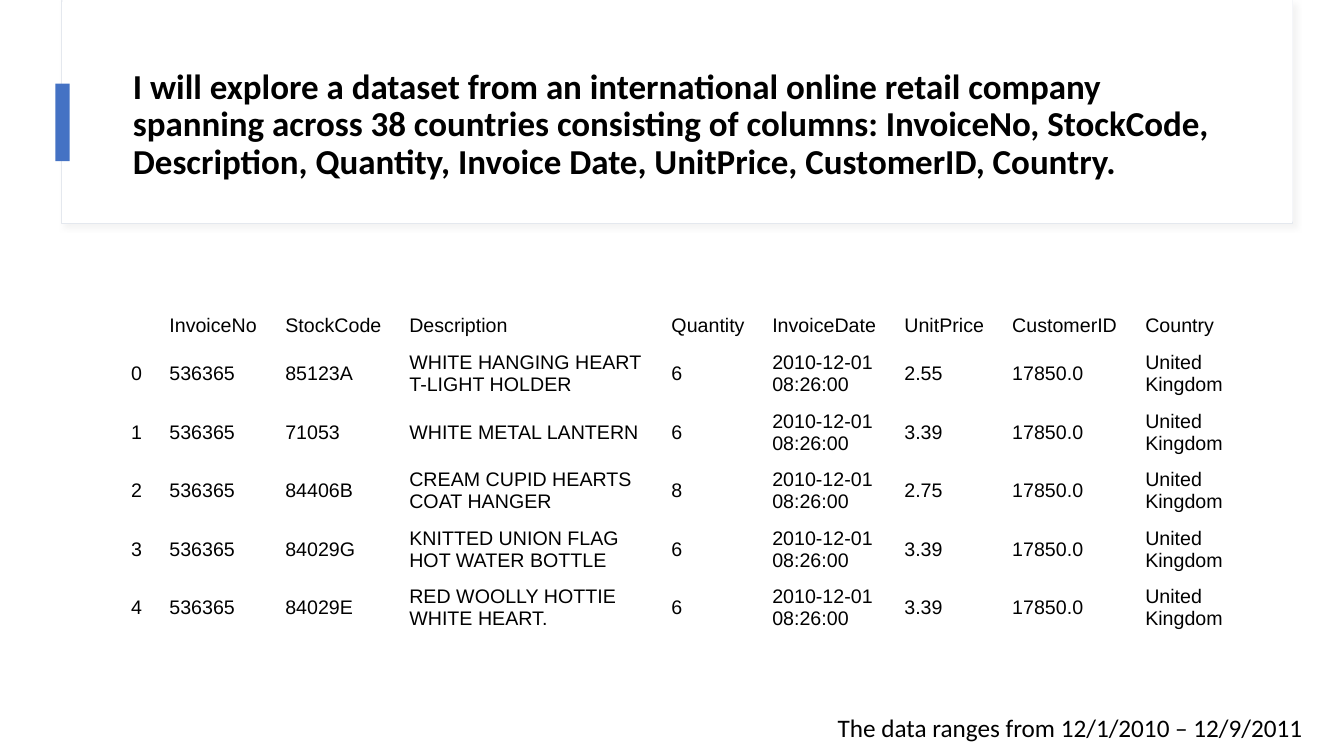
"""Build a slide that introduces the columns of an online retail dataset."""
from lxml import etree
from pptx import Presentation, util as u
from pptx.dml import color
from pptx.enum import shapes, text

deck = Presentation()
deck.slide_width, deck.slide_height = u.Inches(13.33), u.Inches(7.5)
col, row = deck.slide_width / 1333, deck.slide_height / 750
slide = deck.slides.add_slide(deck.slide_layouts[6])


def place(left, top, wide, high):
    return [int(n) for n in (left * col, top * row, wide * col, high * row)]


def paint(part, tone):
    part.solid()
    part.fore_color.rgb = color.RGBColor.from_string(tone)


panels = [
    ((0, 0, 1333, 750), "FFFFFF", None),
    ((61, 1, 1221, 221), "FFFFFF", "E4E8EE"),
    ((62, 0, 1220, 220), "FFFFFF", None),
    ((55, 83, 14, 77), "4472C4", None),
]
for area, tone, edge in panels:
    panel = slide.shapes.add_shape(shapes.MSO_SHAPE.RECTANGLE, *place(*area))
    panel.shadow.inherit = False
    paint(panel.fill, tone)
    if edge:
        paint(panel.line.fill, edge)
        panel.line.width = u.Pt(0.75)
        ns = "http://schemas.openxmlformats.org/drawingml/2006/main"
        glow = panel.fill._xPr.find(f"{{{ns}}}effectLst")
        glow.append(etree.fromstring(
            f'<a:outerShdw xmlns:a="{ns}" blurRad="{u.Pt(4)}" dist="{u.Pt(3)}" '
            'dir="2700000" algn="tl" rotWithShape="0"><a:srgbClr val="D9D9D9">'
            '<a:alpha val="30000"/></a:srgbClr></a:outerShdw>'))
    else:
        panel.line.fill.background()

words = []
title = slide.shapes.add_textbox(*place(122, 60, 1112, 129)).text_frame
title.word_wrap = True
title.vertical_anchor = text.MSO_ANCHOR.MIDDLE
title.paragraphs[0].line_spacing = 0.9
words.append((title, "I will explore a dataset from an international online retail "
              "company spanning across 38 countries consisting of columns: InvoiceNo, "
              "StockCode, Description, Quantity, Invoice Date, UnitPrice, CustomerID, "
              "Country.", 25, "Calibri", True))

heads = ["", "InvoiceNo", "StockCode", "Description", "Quantity", "InvoiceDate",
         "UnitPrice", "CustomerID", "Country"]
sales = [
    ("85123A", "WHITE HANGING HEART T-LIGHT HOLDER", "6", "2.55"),
    ("71053", "WHITE METAL LANTERN", "6", "3.39"),
    ("84406B", "CREAM CUPID HEARTS COAT HANGER", "8", "2.75"),
    ("84029G", "KNITTED UNION FLAG HOT WATER BOTTLE", "6", "3.39"),
    ("84029E", "RED WOOLLY HOTTIE WHITE HEART.", "6", "3.39"),
]
lines = [heads] + [
    [str(i), "536365", stock, item, count, "2010-12-01 08:26:00", price,
     "17850.0", "United Kingdom"]
    for i, (stock, item, count, price) in enumerate(sales)
]
grid = slide.shapes.add_table(len(lines), len(heads), *place(122, 304, 1112, 326)).table
grid.first_row = grid.horz_banding = False
for part, wide in zip(grid.columns, (38, 115, 123, 260, 100, 131, 107, 132, 105)):
    part.width = int(wide * col)
for i, line in enumerate(lines):
    grid.rows[i].height = int((58 if i else 35) * row)
    for j, value in enumerate(line):
        cell = grid.cell(i, j)
        cell.fill.background()
        cell.vertical_anchor = text.MSO_ANCHOR.MIDDLE
        cell.margin_left = cell.margin_right = int(8 * col)
        cell.margin_top = cell.margin_bottom = int(4 * row)
        words.append((cell.text_frame, value, 14, "Arial", False))

note = slide.shapes.add_textbox(*place(821, 702, 512, 40)).text_frame
note.word_wrap = True
words.append((note, "The data ranges from 12/1/2010 – 12/9/2011", 18, "Calibri", False))

for frame, value, size, face, bold in words:
    run = frame.paragraphs[0].add_run()
    run.text = value
    run.font.size, run.font.name, run.font.bold = u.Pt(size), face, bold
    paint(run.font.fill, "000000")

deck.save("out.pptx")
